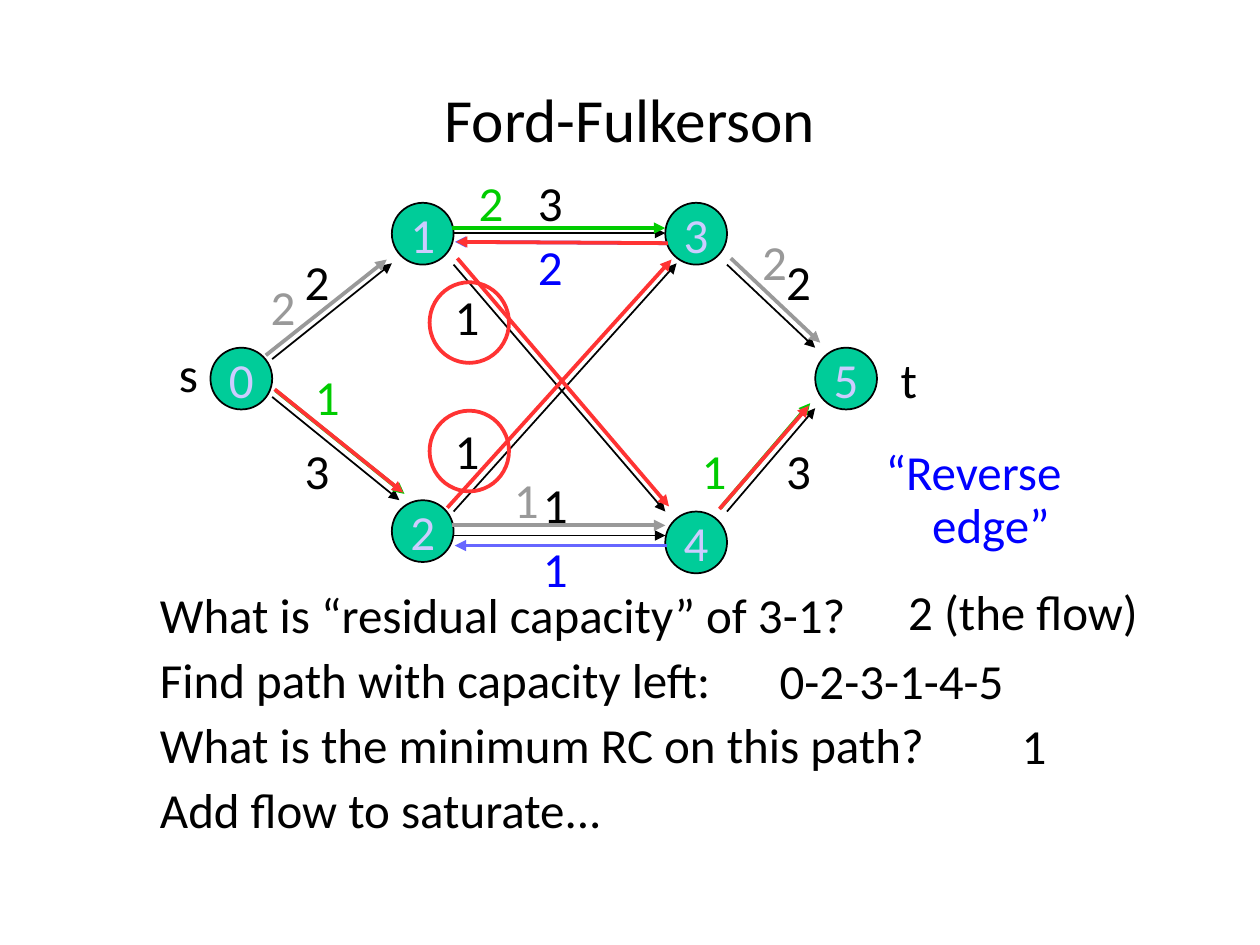
from lxml import etree
from pptx import Presentation
from pptx.dml.color import RGBColor
from pptx.enum.shapes import MSO_CONNECTOR, MSO_SHAPE
from pptx.enum.text import MSO_ANCHOR, MSO_AUTO_SIZE, PP_ALIGN
from pptx.oxml.ns import qn
from pptx.util import Inches, Pt

STRAIGHT = MSO_CONNECTOR.STRAIGHT
OVAL = MSO_SHAPE.OVAL
TOP, MIDDLE = MSO_ANCHOR.TOP, MSO_ANCHOR.MIDDLE
LEFT, CENTER, RIGHT = PP_ALIGN.LEFT, PP_ALIGN.CENTER, PP_ALIGN.RIGHT
NO_FIT = MSO_AUTO_SIZE.NONE

FONT = "Calibri"
BLACK, GRAY, GREEN = "000000", "999999", "00CC00"
BLUE, LIGHT_BLUE, RED = "0000FF", "6666FF", "FF3333"
NODE_FILL, NODE_TEXT = "00CC99", "CCCCFF"
THIN, THICK = 1, 2.15
NODE_SIZE = 0.49
LABEL_SIZE = (0.59, 0.57)

# All network positions are in inches from the top left of its box.
NODES = [("0", 0.67, 1.76), ("1", 2.11, 0.61), ("2", 2.11, 2.97),
         ("3", 4.28, 0.61), ("4", 4.28, 3.06), ("5", 5.47, 1.76)]

# Each arrow runs from its first point to its second.
EDGES = {
    (BLACK, THIN): [
        (1.16, 2.15, 2.17, 2.97), (2.6, 3.06, 4.37, 1.09),
        (1.16, 1.85, 2.11, 1.09), (4.77, 1.1, 5.47, 1.76),
        (2.6, 1.1, 4.28, 3.06), (4.77, 3.06, 5.47, 2.24),
        (2.6, 3.25, 4.28, 3.25), (2.6, 0.85, 4.28, 0.85)],
    (GREEN, THICK): [
        (1.19, 2.1, 2.21, 2.92), (4.72, 3.03, 5.43, 2.2),
        (2.59, 0.81, 4.28, 0.81)],
    (GRAY, THICK): [
        (2.59, 3.17, 4.28, 3.17), (4.8, 1.05, 5.51, 1.72),
        (1.11, 1.82, 2.07, 1.06)],
    (LIGHT_BLUE, THICK): [
        (4.29, 0.93, 2.61, 0.92), (4.29, 3.33, 2.61, 3.33)],
    (RED, THICK): [
        (2.55, 3.03, 4.33, 1.06), (2.63, 1.05, 4.31, 3.02),
        (1.18, 2.09, 2.2, 2.91), (4.3, 0.93, 2.62, 0.92),
        (4.71, 3.04, 5.42, 2.22)],
}

LABELS = {
    BLACK: [("t", 6.04, 1.78), ("2", 1.31, 1), ("3", 1.31, 2.5),
            ("2", 5.13, 1), ("3", 3.16, 0.37), ("3", 5.13, 2.5),
            ("1", 2.5, 2.34), ("1", 2.5, 1.28), ("1", 3.2, 2.77)],
    GREEN: [("1", 1.39, 1.91), ("1", 4.46, 2.5), ("2", 2.69, 0.37)],
    GRAY: [("1", 2.97, 2.73), ("2", 4.94, 0.84), ("2", 1.04, 1.2)],
    BLUE: [("2", 3.16, 0.88), ("1", 3.2, 3.28)],
}

CIRCLES = [(2.41, 2.26, 0.63, 0.64), (2.41, 1.24, 0.63, 0.64)]

QUESTIONS = ["What is “residual capacity” of 3-1?", "Find path with capacity left:",
             "What is the minimum RC on this path?", "Add flow to saturate..."]
# Answers are placed from the top left of the question box.
ANSWERS = [("2 (the flow)", 5.94, -0.02, 2.28), ("0-2-3-1-4-5", 4.92, 0.53, 3.02),
           ("1", 6.84, 1.04, 0.9)]


def rgb(value):
    return RGBColor.from_string(value)


def set_font(p, size, color):
    p.font.name, p.font.size = FONT, Pt(size)
    p.font.color.rgb = rgb(color)


def place(sp, left, top, width, height):
    sp.left, sp.top = Inches(left), Inches(top)
    sp.width, sp.height = Inches(width), Inches(height)


def write_hanging(tf, lines, color=BLACK, align=LEFT):
    """Fill a frame with unbulleted paragraphs that have a hanging indent."""
    tf.word_wrap = True
    tf.auto_size = NO_FIT
    tf.vertical_anchor = TOP
    tf.text = "\n".join(lines)
    for p in tf.paragraphs:
        p.alignment = align
        p.line_spacing, p.space_before = 0.9, Pt(7)
        set_font(p, 28, color)
        pPr = p._p.get_or_add_pPr()
        pPr.set("marL", str(Inches(0.38)))
        pPr.set("indent", str(Inches(-0.37)))
        bullet = etree.Element(qn("a:buNone"))
        pPr.find(qn("a:defRPr")).addprevious(bullet)


def add_label(slide, text, box, color=BLACK, align=LEFT):
    sp = slide.shapes.add_textbox(*map(Inches, box))
    write_hanging(sp.text_frame, [text], color, align)


def add_oval(slide, box, color, width, fill=None):
    sp = slide.shapes.add_shape(OVAL, *map(Inches, box))
    sp.shadow.inherit = False
    if fill:
        sp.fill.solid()
        sp.fill.fore_color.rgb = rgb(fill)
    else:
        sp.fill.background()
    sp.line.color.rgb, sp.line.width = rgb(color), Pt(width)
    return sp


def add_node(slide, name, left, top):
    sp = add_oval(slide, (left, top, NODE_SIZE, NODE_SIZE), BLACK, THIN, NODE_FILL)
    tf = sp.text_frame
    tf.word_wrap = False
    tf.vertical_anchor = MIDDLE
    p = tf.paragraphs[0]
    p.text, p.alignment = name, CENTER
    set_font(p, 28, NODE_TEXT)


def add_arrow(slide, points, color, width):
    line = slide.shapes.add_connector(STRAIGHT, *map(Inches, points))
    line.line.color.rgb, line.line.width = rgb(color), Pt(width)
    etree.SubElement(line.line._get_or_add_ln(), qn("a:tailEnd"), type="triangle")
    etree.SubElement(line._element.spPr, qn("a:effectLst"))


def add_network(slide, left, top):
    for name, x, y in NODES:
        add_node(slide, name, left + x, top + y)
    for (color, width), edges in EDGES.items():
        for x1, y1, x2, y2 in edges:
            add_arrow(slide, (left + x1, top + y1, left + x2, top + y2), color, width)
    for color, labels in LABELS.items():
        for text, x, y in labels:
            add_label(slide, text, (left + x, top + y, *LABEL_SIZE), color)
    add_label(slide, "s", (left + 0.08, top + 1.73, *LABEL_SIZE), align=RIGHT)
    for x, y, w, h in CIRCLES:
        add_oval(slide, (left + x, top + y, w, h), RED, THICK)
    add_label(slide, "“Reverse edge”", (left + 5.92, top + 2.51, 2.39, 0.97), BLUE)


def fill_title(slide, left, top, width, height):
    place(slide.shapes.title, left, top, width, height)
    tf = slide.shapes.title.text_frame
    tf.auto_size = NO_FIT
    tf.vertical_anchor = MIDDLE
    p = tf.paragraphs[0]
    p.text, p.alignment, p.space_before = "Ford-Fulkerson", CENTER, Pt(6)
    set_font(p, 35, BLACK)


def fill_questions(slide, left, top, width, height):
    body = slide.placeholders[1]
    place(body, left, top, width, height)
    write_hanging(body.text_frame, QUESTIONS)
    for text, x, y, w in ANSWERS:
        add_label(slide, text, (left + x, top + y, w, 0.48))


def main():
    prs = Presentation()
    prs.slide_width, prs.slide_height = Inches(10), Inches(7.5)
    slide = prs.slides.add_slide(prs.slide_layouts[1])
    fill_title(slide, 0.75, 0.52, 8.5, 0.83)
    fill_questions(slide, 1.16, 4.64, 7.17, 0.76)
    add_network(slide, 1, 1)
    prs.save("out.pptx")


if __name__ == "__main__":
    main()
